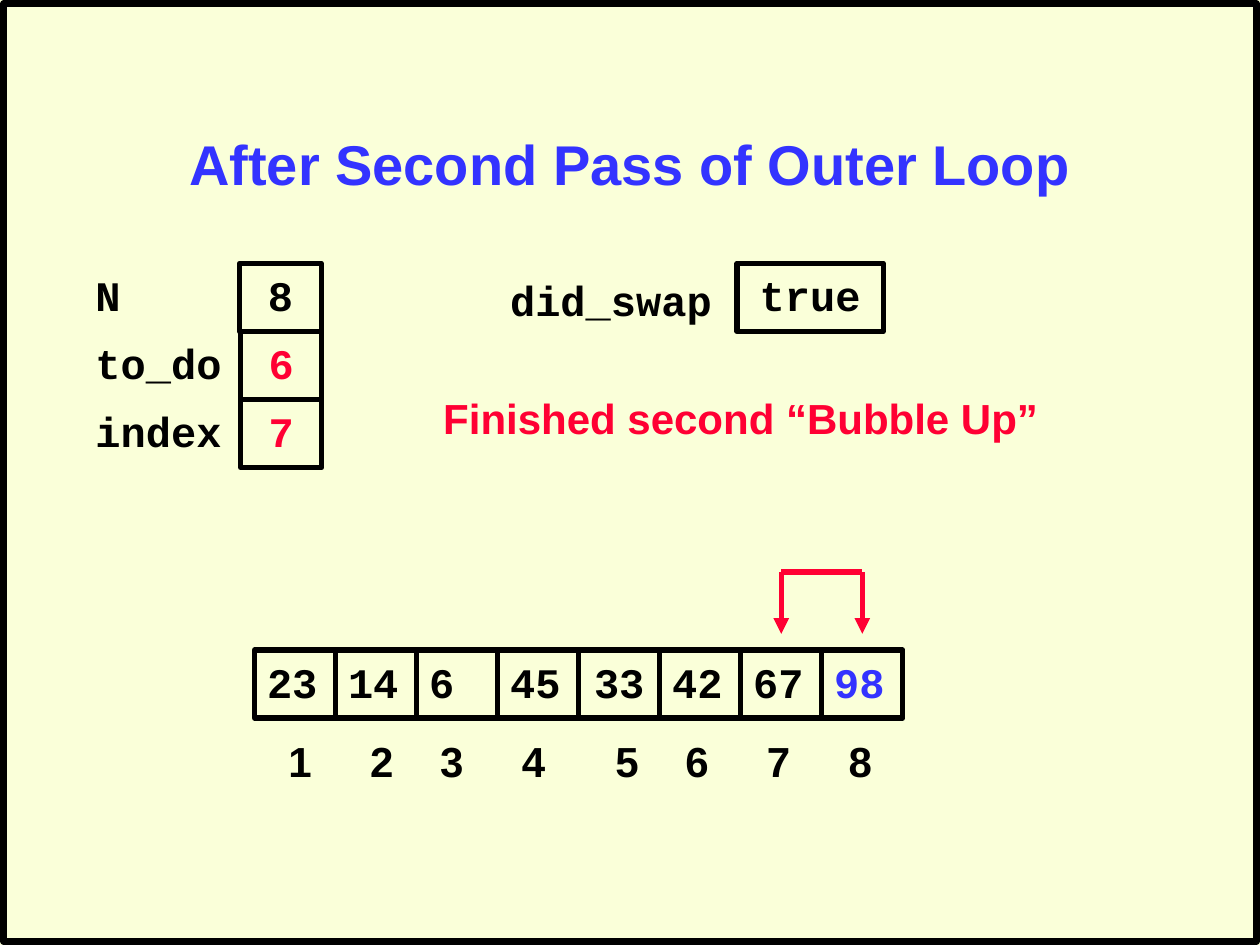
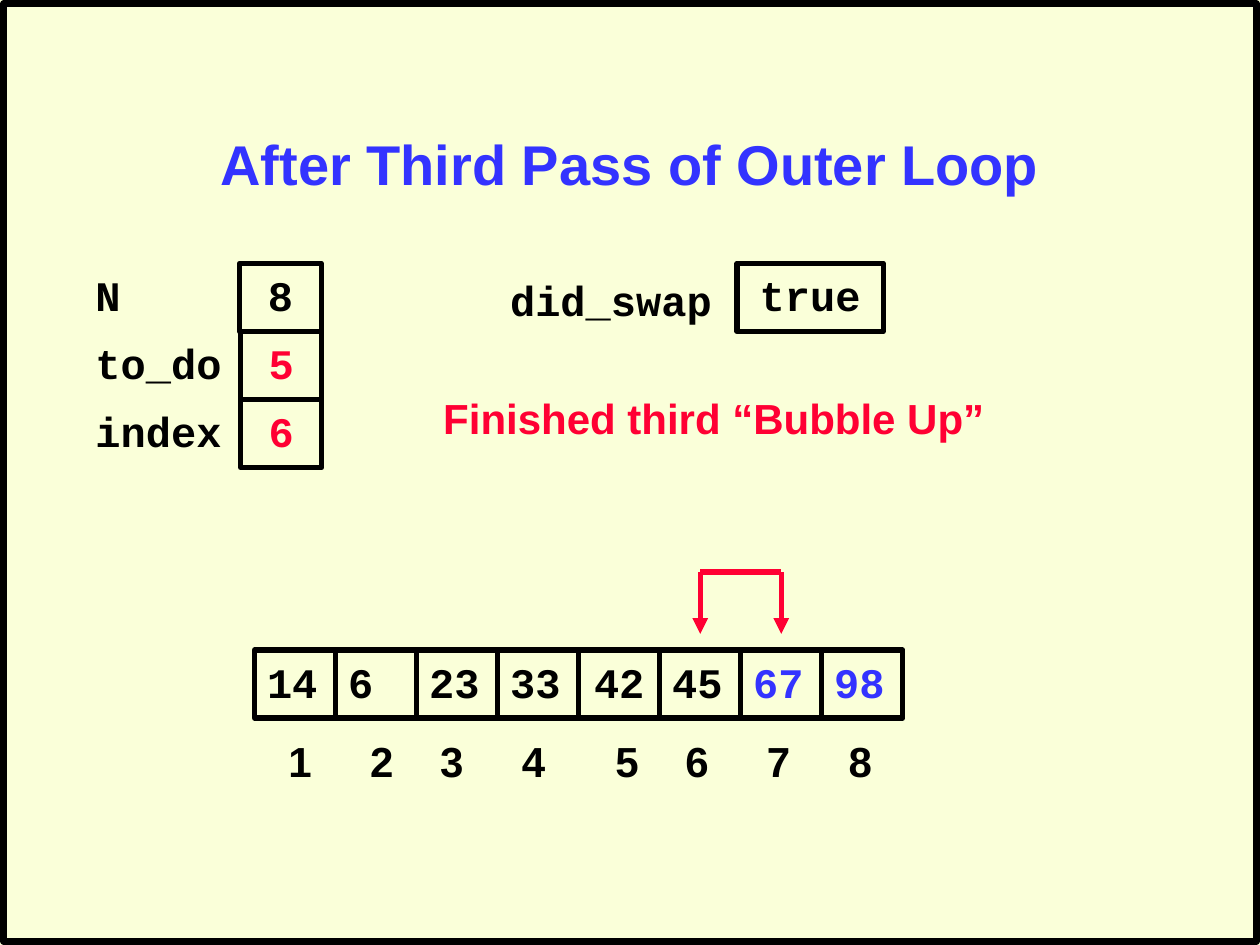
from lxml.etree import SubElement
from pptx import Presentation
from pptx.dml.color import RGBColor
from pptx.enum.shapes import MSO_CONNECTOR as Connector, MSO_SHAPE as Shape
from pptx.enum.text import MSO_ANCHOR as Anchor, PP_ALIGN as Align
from pptx.oxml.ns import qn
from pptx.util import Pt

CREAM = RGBColor(0xFA, 0xFF, 0xD9)
BLACK = RGBColor(0, 0, 0)
BLUE = RGBColor(0x33, 0x33, 0xFF)
RED = RGBColor(0xFF, 0, 0x33)
SANS, MONO = "Arial", "Courier New"
LINE_WIDTH = 3
CELL_WIDTH, CELL_HEIGHT = 46.3, 38.9
TEXT_HEIGHT = 36
CENTRED_CELL = 4
INDEX_STOPS = (46.7, 86.7, 133.4, 186.8, 226.8, 273.5, 320.2)

PASSES = [
    {"title": "After Second Pass of Outer Loop",
     "message": "Finished second “Bubble Up”", "message_width": 356,
     "to_do": 6, "index": 7, "values": (23, 14, 6, 45, 33, 42, 67, 98)},
    {"title": "After Third Pass of Outer Loop",
     "message": "Finished third “Bubble Up”", "message_width": 325,
     "to_do": 5, "index": 6, "values": (14, 6, 23, 33, 42, 45, 67, 98)},
]


def write(shape, text, color=BLACK, font=MONO, size=24, align=Align.LEFT, anchor=Anchor.TOP):
    """Put one bold, formatted line of text into a shape."""
    frame = shape.text_frame
    frame.text = str(text)
    frame.word_wrap = True
    frame.vertical_anchor = anchor
    paragraph = frame.paragraphs[0]
    paragraph.alignment = align
    run_font = paragraph.runs[0].font
    run_font.name, run_font.size, run_font.bold = font, Pt(size), True
    run_font.color.rgb = color


def add_text(slide, left, top, width, text, height=TEXT_HEIGHT, **style):
    """Add a text box and return it."""
    box = slide.shapes.add_textbox(Pt(left), Pt(top), Pt(width), Pt(height))
    write(box, text, **style)
    return box


def add_frame(slide, left, top, width, height, line_width=LINE_WIDTH):
    """Add an unfilled, black-edged rectangle and return it."""
    frame = slide.shapes.add_shape(Shape.RECTANGLE, Pt(left), Pt(top), Pt(width), Pt(height))
    frame.shadow.inherit = False
    frame.fill.background()
    frame.line.color.rgb = BLACK
    frame.line.width = Pt(line_width)
    return frame


def add_cell(slide, left, top, value, width=CELL_WIDTH, **style):
    """Add a framed value."""
    write(add_frame(slide, left, top, width, CELL_HEIGHT), value, **style)


def add_swap_line(group, start, end, arrow=False):
    """Add a red line to a group, with an optional arrowhead at its end."""
    points = [Pt(length) for length in (*start, *end)]
    connector = group.shapes.add_connector(Connector.STRAIGHT, *points)
    connector.line.color.rgb = RED
    connector.line.width = Pt(LINE_WIDTH)
    if arrow:
        SubElement(connector.line._get_or_add_ln(), qn("a:tailEnd"), type="triangle")
    SubElement(connector._element.spPr, qn("a:effectLst"))


def add_swap_bracket(slide, left, top, height=35.3):
    """Draw the bracket pointing at two neighbouring cells."""
    group = slide.shapes.add_group_shape()
    right = left + CELL_WIDTH
    for x in (left, right):
        add_swap_line(group, (x, top), (x, top + height), arrow=True)
    add_swap_line(group, (left, top), (right, top))


def add_counters(slide, left, top, to_do, index):
    """Stack the labelled counters."""
    counters = (("N", 8, BLACK), ("to_do", to_do, RED), ("index", index, RED))
    for row, (name, value, color) in enumerate(counters):
        row_top = top + row * CELL_HEIGHT
        offset, width = (89.3, 46.8) if row == 0 else (90, CELL_WIDTH)
        add_text(slide, left, row_top, 88, name)
        add_cell(slide, left + offset, row_top, value, width, color=color, align=Align.CENTER)


def add_swap_flag(slide, left, top):
    """Show the did_swap flag."""
    add_text(slide, left, top + 2.9, 136.8, "did_swap")
    add_cell(slide, left + 136.8, top, "true", 83.5, align=Align.CENTER)


def add_array(slide, left, top, values, index):
    """Show the array, its indices and the last compared pair."""
    for position, value in enumerate(values):
        add_cell(slide, left + position * CELL_WIDTH, top, value,
                 color=BLUE if position >= index else BLACK,
                 align=Align.CENTER if position == CENTRED_CELL else Align.LEFT)
    numbers = "\t".join(str(number + 1) for number in range(len(values)))
    box = add_text(slide, left + 12.2, top + 45.4, 350, numbers, font=SANS)
    properties = box.text_frame.paragraphs[0]._p.get_or_add_pPr()
    tab_list = SubElement(properties, qn("a:tabLst"))
    for stop in INDEX_STOPS:
        SubElement(tab_list, qn("a:tab"), pos=str(Pt(stop)), algn="l")
    add_swap_bracket(slide, left + (index - 0.5) * CELL_WIDTH, top - 44.6)


def add_pass_slide(presentation, step):
    """Add the slide for one pass of the outer loop."""
    slide = presentation.slides.add_slide(presentation.slide_layouts[6])
    add_frame(slide, 2, 2, 716, 536, line_width=3.75)
    add_text(slide, 54, 48, 612, step["title"], height=90, color=BLUE, font=SANS, size=32,
             align=Align.CENTER, anchor=Anchor.MIDDLE)
    add_array(slide, 145.5, 371.5, step["values"], step["index"] if step["index"] == 6 else 7)
    add_counters(slide, 47.5, 150.5, step["to_do"], step["index"])
    add_swap_flag(slide, 284.4, 150.5)
    add_text(slide, 246.2, 221, step["message_width"], step["message"], color=RED, font=SANS)


def main():
    """Build and save the presentation."""
    presentation = Presentation()
    presentation.slide_width, presentation.slide_height = Pt(720), Pt(540)
    background = presentation.slide_master.background.fill
    background.solid()
    background.fore_color.rgb = CREAM
    for step in PASSES:
        add_pass_slide(presentation, step)
    presentation.save("out.pptx")


if __name__ == "__main__":
    main()
